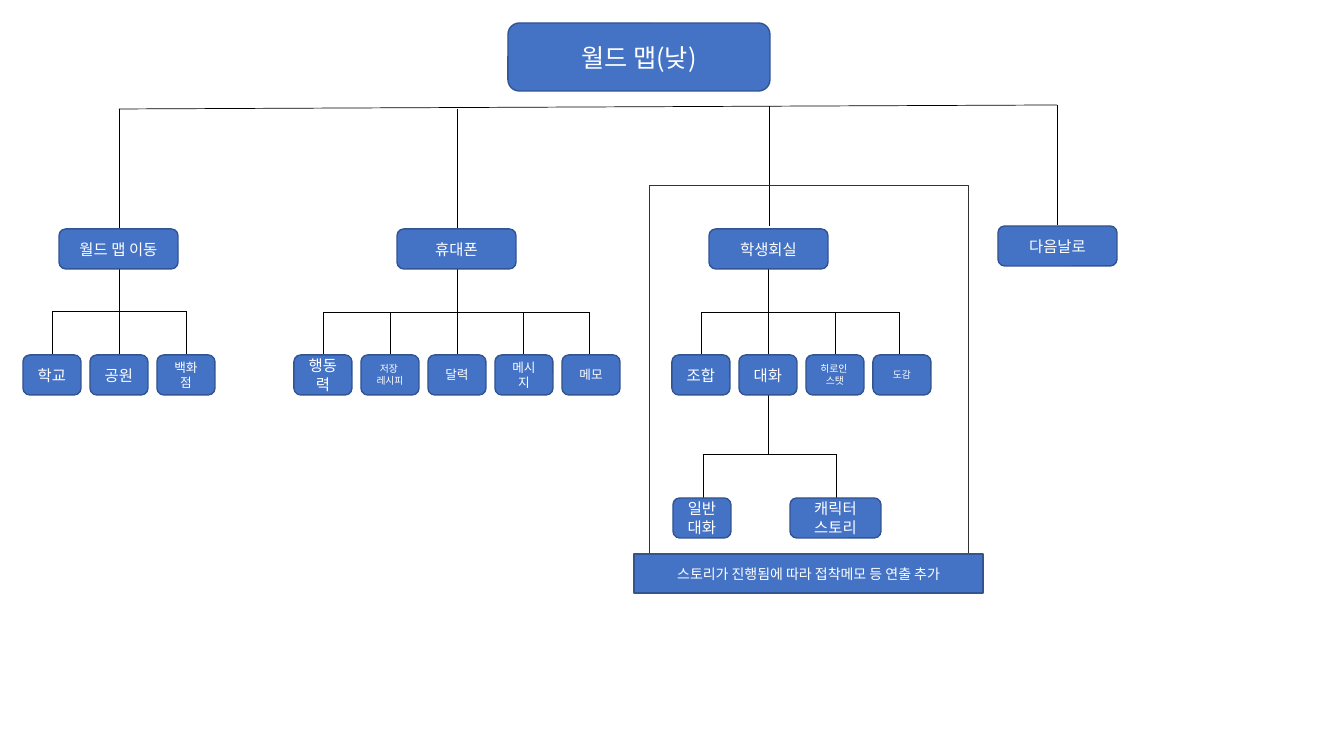
import pptx
import pptx.util
import pptx.dml.color
import pptx.enum.shapes
import pptx.enum.text
import lxml.etree

PX = 914400 / 100.8
FONT = "Noto Sans CJK KR"
COLORS = {"box": "4472C4", "edge": "325491", "text": "FFFFFF", "line": "000000", "frame": "333333"}
A = "{http://schemas.openxmlformats.org/drawingml/2006/main}"
RECT = pptx.enum.shapes.MSO_SHAPE.RECTANGLE
ROUND = pptx.enum.shapes.MSO_SHAPE.ROUNDED_RECTANGLE

prs = pptx.Presentation()
prs.slide_width = round(1344 * PX)
prs.slide_height = round(756 * PX)
s = prs.slides.add_slide(prs.slide_layouts[6])


def add_line(*ends):
    c = s.shapes.add_connector(
        pptx.enum.shapes.MSO_CONNECTOR.STRAIGHT, *[round(v * PX) for v in ends]
    )
    c.line.color.rgb = pptx.dml.color.RGBColor.from_string(COLORS["line"])
    c.line.width = pptx.util.Pt(0.5)
    lxml.etree.SubElement(c._element.spPr, A + "effectLst")


def add_box(x, y, w, h, lines, size, kind=ROUND):
    sp = s.shapes.add_shape(kind, *[round(v * PX) for v in (x, y, w, h)])
    sp.shadow.inherit = False
    sp.fill.solid()
    sp.fill.fore_color.rgb = pptx.dml.color.RGBColor.from_string(COLORS["box"])
    sp.line.color.rgb = pptx.dml.color.RGBColor.from_string(COLORS["edge"])
    sp.line.width = pptx.util.Pt(1)
    tf = sp.text_frame
    tf.word_wrap = True
    tf.vertical_anchor = pptx.enum.text.MSO_ANCHOR.MIDDLE
    for i, text in enumerate(lines):
        p = tf.add_paragraph() if i else tf.paragraphs[0]
        p.alignment = pptx.enum.text.PP_ALIGN.CENTER
        r = p.add_run()
        r.text = text
        r.font.size = pptx.util.Pt(size)
        r.font.name = FONT
        r.font.color.rgb = pptx.dml.color.RGBColor.from_string(COLORS["text"])
        lxml.etree.SubElement(r.font._element, A + "ea", typeface=FONT)


add_line(119, 109, 1057, 105)
for x, top, bottom in [(119, 109, 229), (457, 109, 229), (769, 106, 226), (1057, 105, 225)]:
    add_line(x, top, x, bottom)

forks = [
    (119, 268, 311, 355, [52, 119, 186]),
    (457, 269, 312, 355, [323, 390, 457, 523, 589]),
    (768, 268, 312, 355, [701, 768, 835, 899]),
    (768, 395, 454, 498, [703, 836]),
]
for trunk, top, bar, bottom, drops in forks:
    add_line(trunk, top, trunk, bar)
    add_line(drops[0], bar, drops[-1], bar)
    for x in drops:
        add_line(x, bar, x, bottom)

add_box(508, 23, 262, 68, ["월드 맵(낮)"], 18)
for x, y, text in [
    (59, 229, "월드 맵 이동"),
    (397, 229, "휴대폰"),
    (709, 229, "학생회실"),
    (998, 226, "다음날로"),
]:
    add_box(x, y, 119, 40, [text], 11)

leaf_rows = [
    (23, [(["학교"], 11), (["공원"], 11), (["백화점"], 9)]),
    (294, [(["행동력"], 11), (["저장 ", "레시피"], 7), (["달력"], 9), (["메시지"], 9), (["메모"], 9)]),
    (672, [(["조합"], 11), (["대화"], 11), (["히로인 ", "스탯"], 7), (["도감"], 7)]),
]
for left, leaves in leaf_rows:
    for i, (lines, size) in enumerate(leaves):
        add_box(left + 67 * i, 355, 58, 40, lines, size)

add_box(673, 498, 58, 40, ["일반 대화"], 11)
add_box(790, 498, 91, 40, ["캐릭터 스토리"], 11)

frame = s.shapes.add_shape(RECT, *[round(v * PX) for v in (649, 185, 319, 381)])
frame.shadow.inherit = False
frame.fill.background()
frame.line.color.rgb = pptx.dml.color.RGBColor.from_string(COLORS["frame"])
frame.line.width = pptx.util.Pt(0.5)

add_box(634, 554, 349, 39, ["스토리가 진행됨에 따라 접착메모 등 연출 추가"], 10, RECT)

prs.save("out.pptx")
